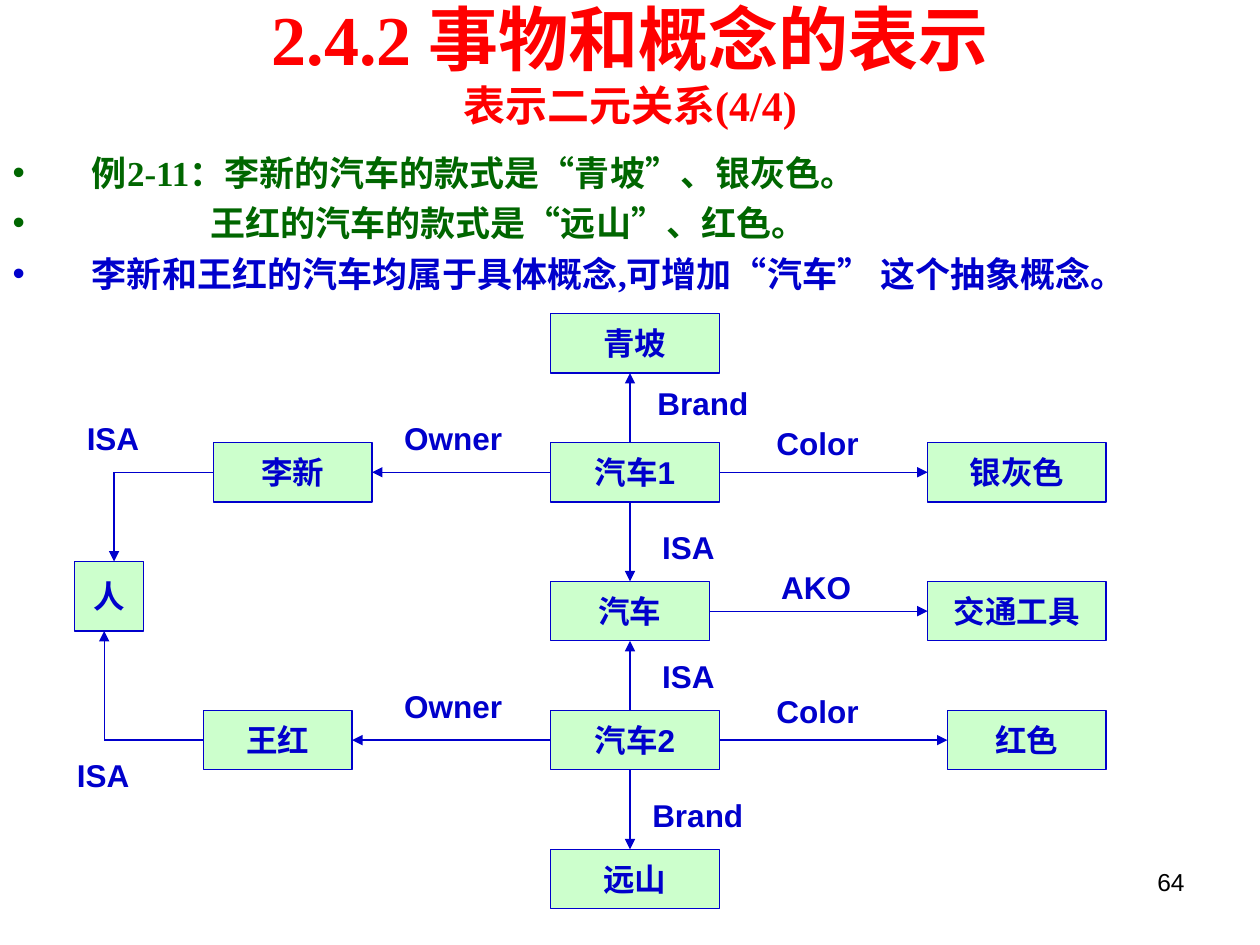
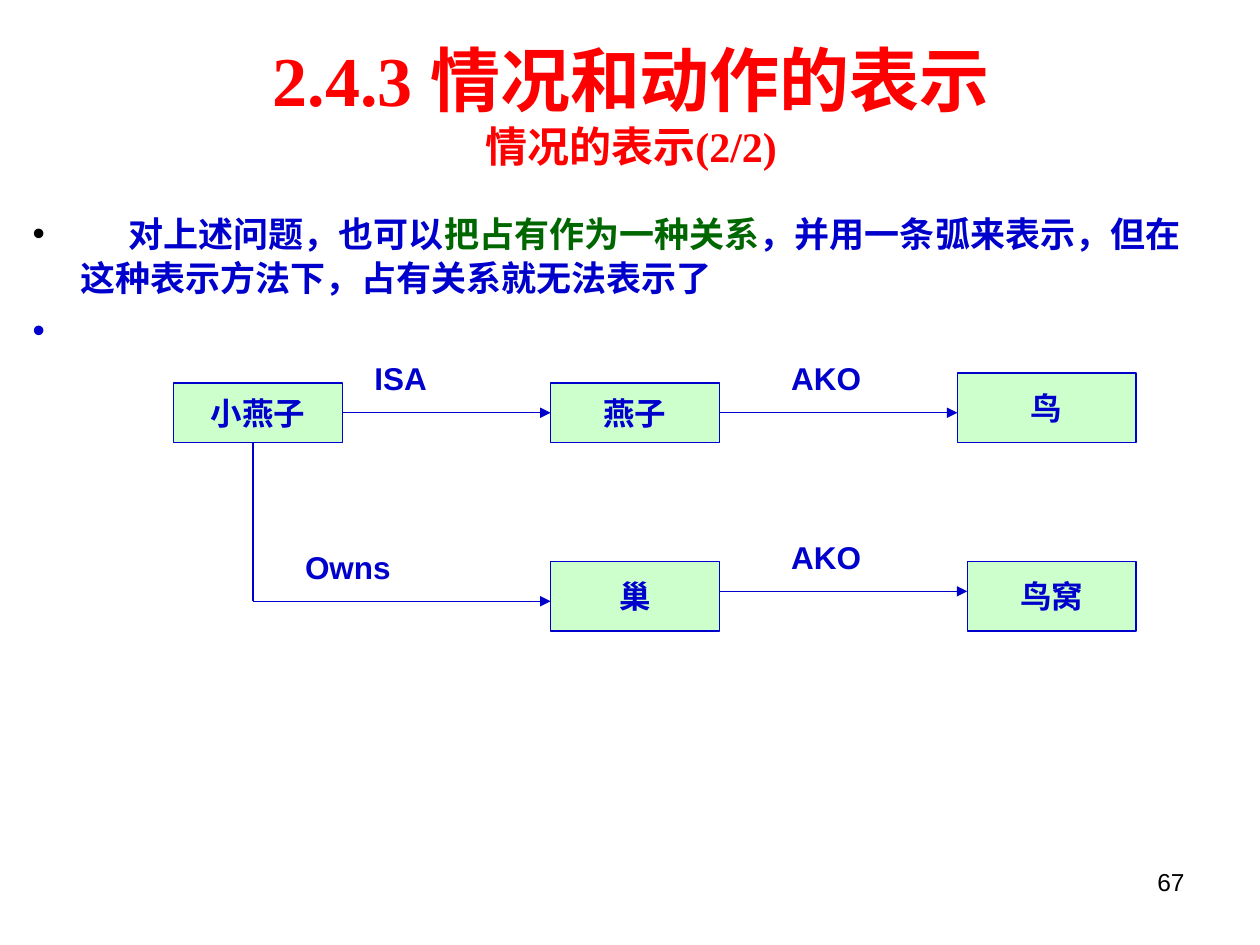
from lxml.etree import SubElement
from pptx import Presentation
from pptx.dml.color import RGBColor
from pptx.enum.shapes import MSO_CONNECTOR as CONN, MSO_SHAPE as SHAPE
from pptx.enum.text import MSO_ANCHOR as ANCHOR, MSO_AUTO_SIZE as AUTO, PP_ALIGN as ALIGN
from pptx.oxml.ns import qn
from pptx.util import Inches, Mm, Pt

RED = RGBColor(0xFF, 0x00, 0x00)
BLUE = RGBColor(0x00, 0x00, 0xCC)
GREEN = RGBColor(0x00, 0x66, 0x00)
MINT = RGBColor(0xCC, 0xFF, 0xCC)
BLACK = RGBColor(0x00, 0x00, 0x00)
SERIF, SANS = "Times New Roman", "Arial"
CELL = Mm(2)
LEFT, TOP = 0.5, 0.6
HANG = 0.38


def col(c):
    """Return the x of a grid column."""
    return int((c + LEFT) * CELL)


def row(r):
    """Return the y of a grid row."""
    return int((r + TOP) * CELL)


def place(sp, left, top, width, height):
    """Move a shape to a place given in inches."""
    sp.left, sp.top, sp.width, sp.height = map(Inches, (left, top, width, height))


def style(r, size, color, name=SANS, bold=True):
    """Format one run."""
    r.font.size, r.font.name, r.font.bold = Pt(size), name, bold
    r.font.color.rgb = color


def add_title(slide, heading, subheading, spot):
    """Fill the title placeholder with a large and a small line."""
    sp = slide.shapes.title
    place(sp, *spot)
    tf = sp.text_frame
    tf.text = f"{heading}\v{subheading}"
    tf.auto_size, tf.vertical_anchor = AUTO.NONE, ANCHOR.MIDDLE
    p = tf.paragraphs[0]
    p.alignment = ALIGN.CENTER
    for r, size in zip(p.runs, (40, 24)):
        style(r, size, RED, SERIF)


def add_bullet(p, margin, color, tabs=()):
    """Give a paragraph a hanging bullet and its tab stops."""
    p.space_before = Pt(5)
    pPr = p._p.get_or_add_pPr()
    pPr.set("marL", str(Inches(margin)))
    pPr.set("indent", str(-Inches(margin)))
    SubElement(SubElement(pPr, qn("a:buClr")), qn("a:srgbClr"), val=str(color))
    SubElement(pPr, qn("a:buFont"), typeface=SANS)
    SubElement(pPr, qn("a:buChar"), char="•")
    if tabs:
        stops = SubElement(pPr, qn("a:tabLst"))
        for stop in tabs:
            SubElement(stops, qn("a:tab"), pos=str(Inches(stop)), algn="l")


def add_body(slide, spot, items, name, spacing=1.0):
    """Fill the body placeholder with (margin, bullet colour, tabs, pieces) items."""
    sp = slide.placeholders[1]
    place(sp, *spot)
    tf = sp.text_frame
    tf.auto_size = AUTO.NONE
    for i, (margin, color, tabs, pieces) in enumerate(items):
        p = tf.add_paragraph() if i else tf.paragraphs[0]
        p.line_spacing = spacing
        add_bullet(p, margin, color, tabs)
        for text, ink in pieces:
            r = p.add_run()
            r.text = text
            style(r, 20, ink, name)


def add_page_number(slide, number):
    """Put the page number at the lower right."""
    sp = slide.shapes.add_textbox(0, 0, 0, 0)
    place(sp, 7.17, 6.83, 2.33, 0.52)
    tf = sp.text_frame
    tf.word_wrap = True
    tf.text = str(number)
    p = tf.paragraphs[0]
    p.alignment = ALIGN.RIGHT
    style(p.runs[0], 14, BLACK, bold=False)


def add_node(slide, sites, text, c, r, w, h=6):
    """Draw a concept box and record the middles of its sides."""
    sp = slide.shapes.add_shape(SHAPE.RECTANGLE, col(c), row(r), w * CELL, h * CELL)
    sp.shadow.inherit = False
    sp.fill.solid()
    sp.fill.fore_color.rgb = MINT
    sp.line.color.rgb, sp.line.width = BLUE, Pt(0.75)
    tf = sp.text_frame
    tf.word_wrap, tf.vertical_anchor = False, ANCHOR.MIDDLE
    tf.text = text
    p = tf.paragraphs[0]
    p.alignment = ALIGN.CENTER
    style(p.runs[0], 18, BLUE)
    middles = (c + w / 2, r), (c, r + h / 2), (c + w / 2, r + h), (c + w, r + h / 2)
    sites.update({middle: (sp, side) for side, middle in enumerate(middles)})


def add_link(slide, sites, start, end, arrow=True):
    """Draw a relation line, joined to a box where it meets a side's middle."""
    cx = slide.shapes.add_connector(
        CONN.STRAIGHT, col(start[0]), row(start[1]), col(end[0]), row(end[1]))
    if start in sites:
        cx.begin_connect(*sites[start])
    if end in sites:
        cx.end_connect(*sites[end])
    cx.line.color.rgb, cx.line.width = BLUE, Pt(0.75)
    if arrow:
        SubElement(cx.line._get_or_add_ln(), qn("a:tailEnd"), type="triangle")
    SubElement(cx._element.spPr, qn("a:effectLst"))


def add_label(slide, text, c, r, w, tight=False):
    """Write a relation name; a tight label has narrow margins."""
    height = 4 if tight else 5
    sp = slide.shapes.add_textbox(col(c), row(r), w * CELL, height * CELL)
    tf = sp.text_frame
    tf.word_wrap = True
    if tight:
        tf.margin_left = tf.margin_right = Inches(0.06)
        tf.margin_top = tf.margin_bottom = Inches(0.01)
    tf.text = text
    style(tf.paragraphs[0].runs[0], 18, BLUE)


def add_network(slide, nodes, arrows, stems, labels):
    """Draw a semantic network from its boxes, lines and relation names."""
    sites = {}
    for node in nodes:
        add_node(slide, sites, *node)
    for start, end in arrows:
        add_link(slide, sites, start, end)
    for start, end in stems:
        add_link(slide, sites, start, end, arrow=False)
    for label in labels:
        add_label(slide, *label)


def build_cars(prs):
    """Build the slide on binary relations."""
    slide = prs.slides.add_slide(prs.slide_layouts[1])
    add_page_number(slide, 64)
    add_title(slide, "2.4.2 事物和概念的表示", "表示二元关系(4/4)", (0.5, 0, 9, 0.99))
    add_body(slide, (0, 1.15, 9.73, 6.35), [
        (0.63, GREEN, (), [("例2-11：李新的汽车的款式是“青坡”、银灰色。", GREEN)]),
        (1.57, GREEN, (), [("王红的汽车的款式是“远山”、红色。", GREEN)]),
        (0.63, BLUE, (), [("李新和王红的汽车均属于具体概念,可增加“汽车” 这个抽象概念。", BLUE)]),
    ], SERIF)
    nodes = [
        ("青坡", 55, 31, 17), ("李新", 21, 44, 16), ("汽车1", 55, 44, 17),
        ("银灰色", 93, 44, 18), ("人", 7, 56, 7, 7), ("汽车", 55, 58, 16),
        ("交通工具", 93, 58, 18), ("王红", 20, 71, 15), ("汽车2", 55, 71, 17),
        ("红色", 95, 71, 16), ("远山", 55, 85, 17),
    ]
    arrows = [
        ((63, 44), (63, 37)), ((55, 47), (37, 47)), ((72, 47), (93, 47)),
        ((63, 50), (63, 58)), ((63, 71), (63, 64)), ((71, 61), (93, 61)),
        ((55, 74), (35, 74)), ((72, 74), (95, 74)), ((63, 77), (63, 85)),
        ((11, 47), (11, 56)), ((10, 74), (10, 63)),
    ]
    stems = [((21, 47), (11, 47)), ((20, 74), (10, 74))]
    labels = [
        ("Brand", 65, 38, 14, True), ("Owner", 39, 41, 14), ("Color", 77, 42, 10, True),
        ("ISA", 65, 52, 8), ("ISA", 65, 65, 10), ("AKO", 77, 56, 11),
        ("Color", 77, 69, 14, True), ("Owner", 39, 68, 13), ("Brand", 64, 79, 15),
        ("ISA", 7, 41, 9), ("ISA", 6, 75, 10),
    ]
    add_network(slide, nodes, arrows, stems, labels)


def build_swallow(prs):
    """Build the slide on situations."""
    slide = prs.slides.add_slide(prs.slide_layouts[1])
    add_page_number(slide, 67)
    add_title(slide, "2.4.3 情况和动作的表示", "情况的表示(2/2)", (0.51, 0.25, 9, 1.15))
    add_body(slide, (0.16, 1.62, 9.49, 5.88), [
        (HANG, BLACK, (0.37, 0.76), [
            ("\t", BLACK),
            ("对上述问题，也可以", BLUE),
            ("把占有作为一种关系", GREEN),
            ("，并用一条弧来表示，但在这种表示方法下，占有关系就无法表示了", BLUE)]),
        (HANG, BLUE, (), [(" ", BLUE)]),
    ], SANS, 1.05)
    nodes = [
        ("小燕子", 17, 38, 17), ("燕子", 55, 38, 17), ("鸟", 96, 37, 18, 7),
        ("巢", 55, 56, 17, 7), ("鸟窝", 97, 56, 17, 7),
    ]
    arrows = [
        ((34, 41), (55, 41)), ((72, 41), (96, 41)),
        ((25, 60), (55, 60)), ((72, 59), (97, 59)),
    ]
    stems = [((25, 44), (25, 60))]
    labels = [
        ("ISA", 36, 35, 14), ("AKO", 78, 35, 10),
        ("Owns", 29, 54, 14), ("AKO", 78, 53, 11),
    ]
    add_network(slide, nodes, arrows, stems, labels)


def main():
    """Build and save the presentation."""
    prs = Presentation()
    prs.slide_width, prs.slide_height = Inches(10), Inches(7.5)
    build_cars(prs)
    build_swallow(prs)
    prs.save("out.pptx")


if __name__ == "__main__":
    main()
